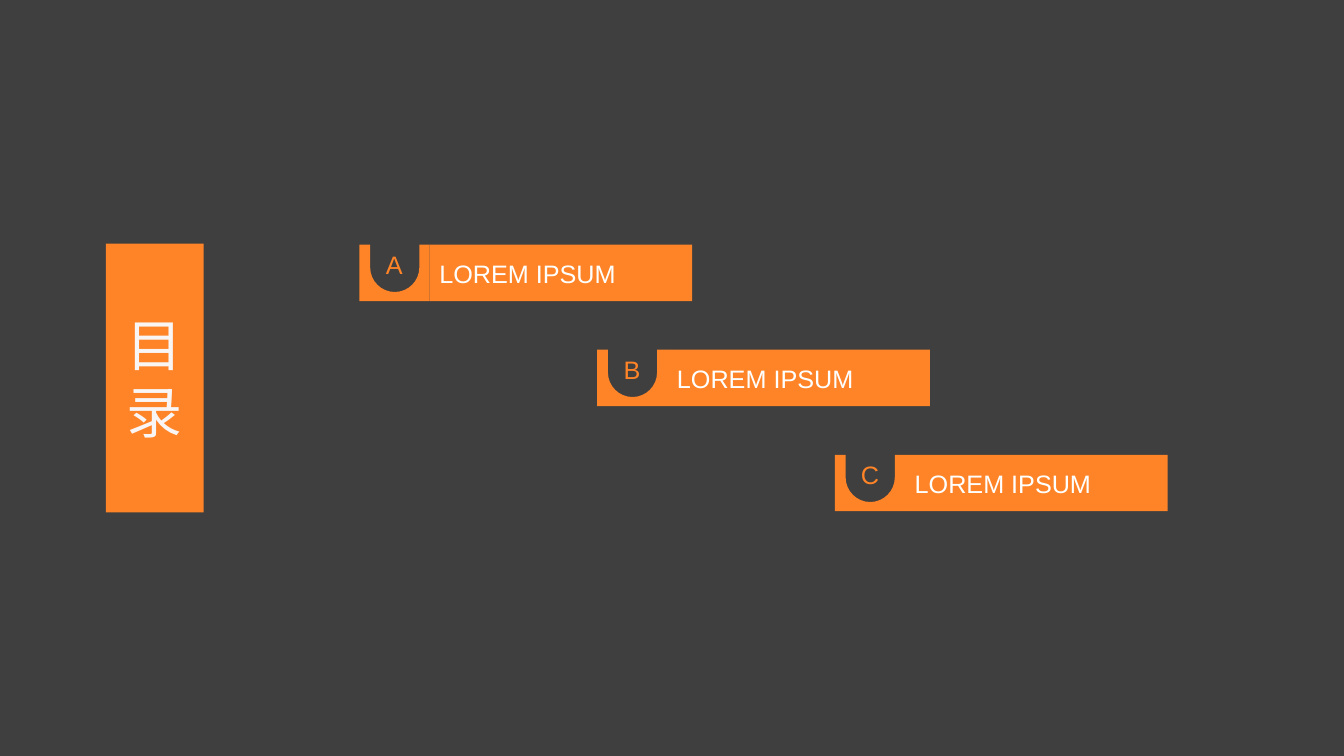
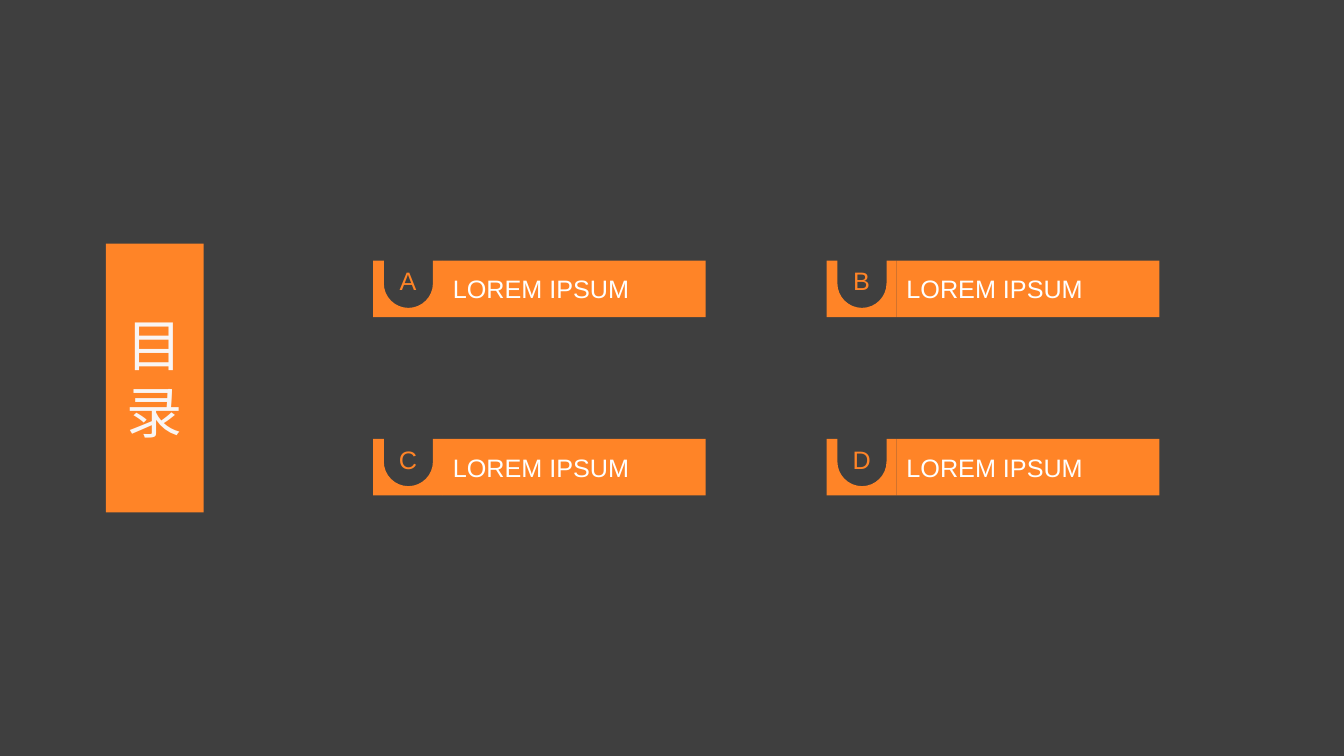
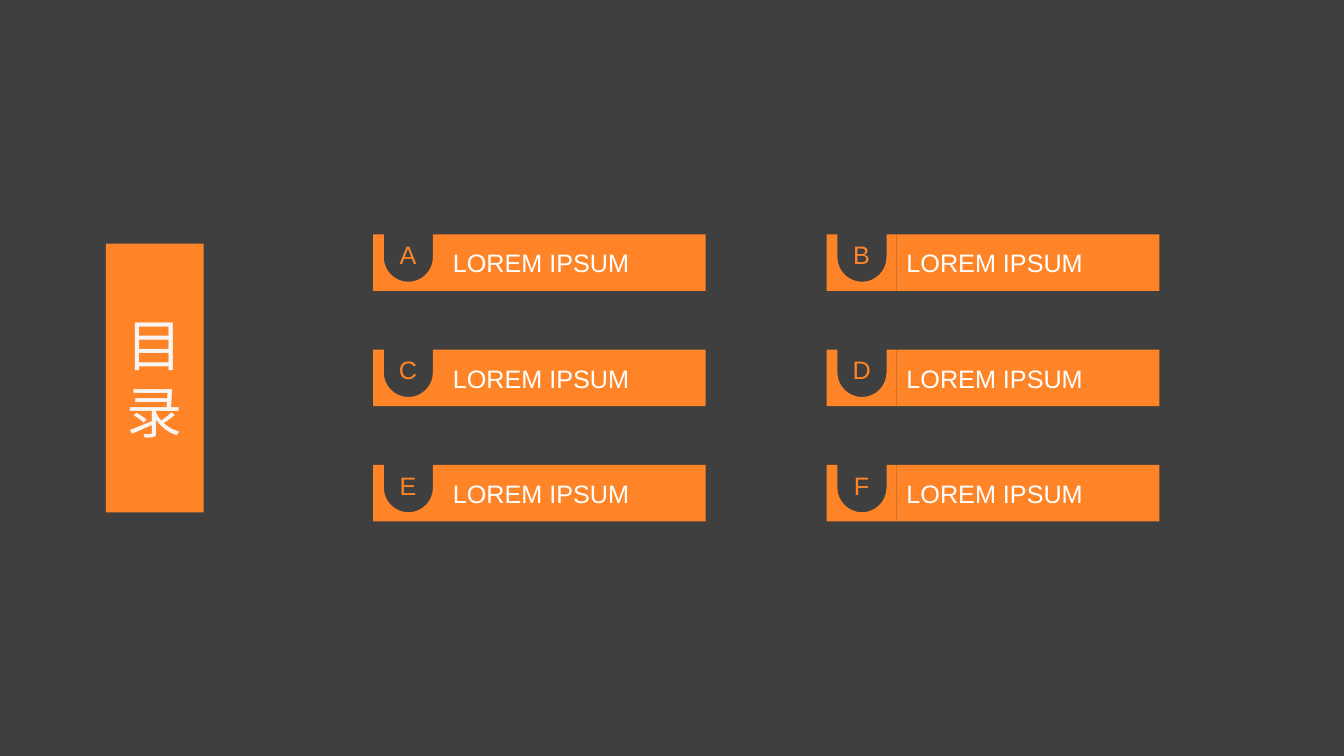
import lxml.etree
import pptx
import pptx.dml.color
import pptx.enum.shapes
import pptx.enum.text
import pptx.oxml.ns
import pptx.util

ORANGE = pptx.dml.color.RGBColor(0xFF, 0x84, 0x27)
CHARCOAL = pptx.dml.color.RGBColor(0x3F, 0x3F, 0x3F)
CREAM = pptx.dml.color.RGBColor(0xF9, 0xF5, 0xF4)
WHITE = pptx.dml.color.RGBColor(0xFE, 0xFF, 0xFF)

COLUMNS, ROWS = 160, 90
CELL = pptx.util.Inches(1 / 12)
TITLE_BOX = (12.62, 29, 11.62, 32)
ENTRY_WIDTH, ENTRY_HEIGHT = 39.6, 6.72
TAB_SHARE = 0.21
NOTCH_INSET, NOTCH_WIDTH, NOTCH_DEPTH = 1.28, 5.85, 5.63
CURVE_PULL = 0.55

TOP = pptx.enum.text.MSO_ANCHOR.TOP
MIDDLE = pptx.enum.text.MSO_ANCHOR.MIDDLE
LEFT = pptx.enum.text.PP_ALIGN.LEFT
CENTER = pptx.enum.text.PP_ALIGN.CENTER


def cells(*lengths):
    """Turn grid lengths into whole EMU."""
    return [pptx.util.Emu(round(length * CELL)) for length in lengths]


def paint(shape):
    """Give a shape the flat orange fill."""
    shape.fill.solid()
    shape.fill.fore_color.rgb = ORANGE
    shape.line.fill.background()


def write(shape, wording, font, size, colour, align, anchor):
    """Write one formatted paragraph into a shape."""
    frame = shape.text_frame
    frame.text = wording
    frame.word_wrap = True
    frame.auto_size = pptx.enum.text.MSO_AUTO_SIZE.NONE
    frame.vertical_anchor = anchor
    paragraph = frame.paragraphs[0]
    paragraph.alignment = align
    run = paragraph.runs[0]
    run.font.name = font
    run.font.size = pptx.util.Pt(size)
    run.font.color.rgb = colour
    east_asian = lxml.etree.SubElement(run.font._element, pptx.oxml.ns.qn("a:ea"))
    east_asian.set("typeface", font)


def add_title(slide, box):
    """Turn the title placeholder into the orange contents block."""
    title = slide.shapes.title
    title.left, title.top, title.width, title.height = cells(*box)
    paint(title)
    write(title, "目录", "Noto Sans CJK SC", 40, CREAM, CENTER, MIDDLE)


def bend(segment, start, end, leaves_down):
    """Turn a straight segment into a quarter of a circle."""
    (x0, y0), (x1, y1) = start, end
    pull_x, pull_y = CURVE_PULL * (x1 - x0), CURVE_PULL * (y1 - y0)
    if leaves_down:
        controls = [(x0, y0 + pull_y), (x1 - pull_x, y1)]
    else:
        controls = [(x0 + pull_x, y0), (x1, y1 - pull_y)]
    curve = lxml.etree.Element(pptx.oxml.ns.qn("a:cubicBezTo"))
    for x, y in [*controls, end]:
        point = lxml.etree.SubElement(curve, pptx.oxml.ns.qn("a:pt"))
        point.set("x", str(round(x)))
        point.set("y", str(round(y)))
    segment.getparent().replace(segment, curve)


def add_tab(entry, left, top, width, height):
    """Add a tab with a round-ended notch in its top."""
    notch_left = left + NOTCH_INSET
    notch_right = notch_left + NOTCH_WIDTH
    radius = NOTCH_WIDTH / 2
    notch_bottom = top + NOTCH_DEPTH
    arc_top = notch_bottom - radius
    start, *corners = [cells(*corner) for corner in (
        (left, top), (notch_left, top), (notch_left, arc_top),
        (notch_left + radius, notch_bottom), (notch_right, arc_top),
        (notch_right, top), (left + width, top),
        (left + width, top + height), (left, top + height))]
    outline = entry.shapes.build_freeform(*start)
    outline.add_line_segments(corners, close=True)
    tab = outline.convert_to_shape()
    segments = list(tab._element.iter(pptx.oxml.ns.qn("a:lnTo")))
    ends = [(int(segment[0].get("x")), int(segment[0].get("y"))) for segment in segments]
    bend(segments[2], ends[1], ends[2], True)
    bend(segments[3], ends[2], ends[3], False)
    return tab


def add_entry(slide, left, top, letter):
    """Add a lettered tab and its caption bar as one group."""
    entry = slide.shapes.add_group_shape()
    tab_width = TAB_SHARE * ENTRY_WIDTH
    tab = add_tab(entry, left, top, tab_width, ENTRY_HEIGHT)
    caption = entry.shapes.add_shape(
        pptx.enum.shapes.MSO_SHAPE.RECTANGLE,
        *cells(left + tab_width, top, ENTRY_WIDTH - tab_width, ENTRY_HEIGHT))
    for part in (tab, caption):
        part.shadow.inherit = False
        paint(part)
    write(tab, letter, "Arial", 18, ORANGE, CENTER, TOP)
    write(caption, "LOREM IPSUM", "Arial", 18, WHITE, LEFT, MIDDLE)


def add_contents(deck, places, left, column_step, row_step):
    """Add a contents slide with entries at (column, row), centred vertically."""
    slide = deck.slides.add_slide(deck.slide_layouts[5])
    add_title(slide, TITLE_BOX)
    last_row = max(row for column, row in places)
    first_top = (ROWS - ENTRY_HEIGHT - last_row * row_step) / 2
    for (column, row), letter in sorted(zip(places, "ABCDEF")):
        add_entry(slide, left + column * column_step, first_top + row * row_step, letter)


def main():
    """Build and save the deck."""
    deck = pptx.Presentation()
    deck.slide_width, deck.slide_height = cells(COLUMNS, ROWS)
    backdrop = deck.slide_master.background.fill
    backdrop.solid()
    backdrop.fore_color.rgb = CHARCOAL

    staircase = [(step, step) for step in range(3)]
    two_rows = [(column, row) for row in range(2) for column in range(2)]
    three_rows = [(column, row) for row in range(3) for column in range(2)]
    add_contents(deck, staircase, 42.8, 28.3, 12.5)
    add_contents(deck, two_rows, 44.42, 54, 21.22)
    add_contents(deck, three_rows, 44.42, 54, 13.72)
    deck.save("out.pptx")


if __name__ == "__main__":
    main()
